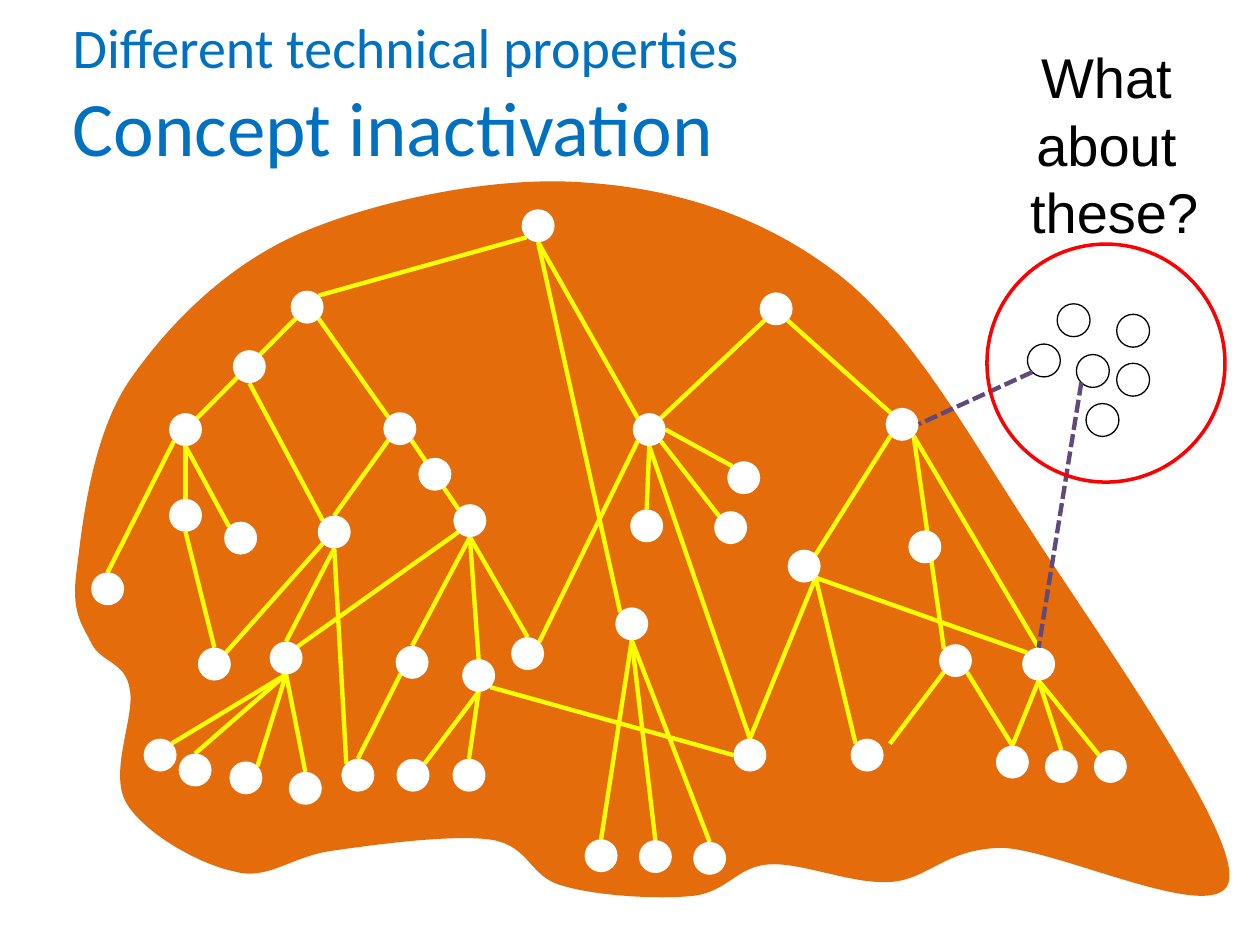
from lxml import etree
from pptx import Presentation
from pptx.dml.color import RGBColor
from pptx.enum import dml, shapes, text
from pptx.oxml import ns
from pptx.util import Pt

RADIUS = 9.4
DIAGONAL = 6.6
SITES = {
    "n": (0, -RADIUS), "s": (0, RADIUS), "e": (RADIUS, 0), "w": (-RADIUS, 0),
    "ne": (DIAGONAL, -DIAGONAL), "nw": (-DIAGONAL, -DIAGONAL),
    "se": (DIAGONAL, DIAGONAL), "sw": (-DIAGONAL, DIAGONAL),
}

# Centres of the concepts, one letter per level of the hierarchy
LEVELS = {
    "A": [(307.5, 129)],
    "B": [(175.5, 175.5), (443.5, 176.5)],
    "C": [(142.5, 209.5)],
    "D": [(106, 245.5), (228.5, 245), (371, 245.5), (515.5, 242.5)],
    "E": [(248.5, 271), (425, 273)],
    "F": [(106, 294.5), (137.5, 307.5), (191, 304), (268.5, 297.5),
          (369.5, 300.5), (417.5, 301.5)],
    "G": [(61.5, 336.5), (459.5, 323.5), (528.5, 312.5)],
    "H": [(122.5, 379.5), (163.5, 376), (235.5, 378.5), (273.5, 386),
          (301.5, 373.5), (361, 356.5), (546, 377.5), (593.5, 379.5)],
    "J": [(91.5, 431.5), (111.5, 440), (140.5, 444.5), (174.5, 450.5),
          (204.5, 443), (236, 443), (268, 443), (428.5, 431.5),
          (495.5, 431.5), (578.5, 435.5), (606.5, 438), (634.5, 438)],
    "K": [(343.5, 489), (374.5, 489.5), (405.5, 490.5)],
    "inactive": [(613.5, 183), (624.5, 212), (647.5, 189), (647.5, 217),
                 (630, 240), (596.5, 206)],
}

# Parent and its side: children and their sides
LINKS = {
    "A1 s": "H6 nw, D3 nw", "A1 sw": "B1 ne",
    "B1 se": "D2 nw", "B1 sw": "D1 ne",
    "B2 sw": "D3 ne", "B2 se": "D4 nw",
    "C1 s": "F3 nw",
    "D1 s": "F1 n, F2 nw", "D1 sw": "G1 n",
    "D2 sw": "F3 n", "D2 se": "F4 nw",
    "D3 s": "J8 n, F5 n", "D3 e": "E2 nw", "D3 se": "F6 nw", "D3 sw": "H5 ne",
    "D4 sw": "G2 ne", "D4 se": "H8 n, H7 nw",
    "F1 s": "H1 n",
    "F3 s": "J5 nw, H2 n", "F3 sw": "H1 ne",
    "F4 sw": "H2 ne", "F4 s": "H5 n, H3 n, H4 n",
    "G2 se": "H8 nw, J9 nw, J8 n",
    "H2 s": "J1 ne, J2 n, J3 ne, J4 n",
    "H3 sw": "J5 n",
    "H4 s": "J7 n, J6 ne", "H4 se": "J8 w",
    "H6 s": "K1 n, K2 n, K3 n",
    "H7 se": "J10 n",
    "H8 s": "J10 n, J11 n, J12 nw",
}
LOOSE_END = (508.5, 425)
DASHED_LINKS = [("inactive6 sw", "D4 e"), ("inactive2 sw", "H8 n")]

# Start point, then two controls and an end point for each curve
BRAIN = [
    (74, 217.5),
    (96.5, 185), (130, 151), (173.5, 132.5),
    (217.5, 114), (285, 100), (336, 104.5),
    (387.5, 108), (438, 124.5), (480, 157.5),
    (522, 191), (551.5, 245.5), (589, 303),
    (625.5, 360), (705.5, 471.5), (702.5, 502),
    (700, 532), (604, 484.5), (571.5, 484.5),
    (539.5, 485.5), (530.5, 502.5), (509, 504),
    (486.5, 505.5), (458, 492.5), (439, 494),
    (420.5, 495.5), (415.5, 510), (395.5, 512),
    (376, 514), (340.5, 512), (321, 506),
    (302.5, 501), (303, 484), (281.5, 480),
    (260, 476.5), (215.5, 482.5), (191, 486),
    (166.5, 489), (153.5, 503.5), (134, 498),
    (114, 494), (82, 476), (72, 458.5),
    (62, 440.5), (78, 408), (74, 393),
    (71.5, 378), (57, 378.5), (52, 367),
    (46, 355.5), (40.5, 349), (44, 324.5),
    (47, 300), (52.5, 249), (74, 217.5),
]

NODES = {f"{level}{i}": centre for level, centres in LEVELS.items()
         for i, centre in enumerate(centres, 1)}


def rgb(color):
    return RGBColor.from_string(color)


def style(sp, fill=None, line=None, width=0.75):
    sp.shadow.inherit = False
    if fill:
        sp.fill.solid()
        sp.fill.fore_color.rgb = rgb(fill)
    else:
        sp.fill.background()
    if line:
        sp.line.color.rgb = rgb(line)
        sp.line.width = Pt(width)
    else:
        sp.line.fill.background()


def add_curved_shape(s, points, fill):
    """Draw a closed outline, turning each three segments into one curve."""
    emu = [(Pt(x), Pt(y)) for x, y in points]
    builder = s.shapes.build_freeform(*emu[0])
    builder.add_line_segments(emu[1:], close=True)
    sp = builder.convert_to_shape()
    segments = list(sp._element.iter(ns.qn("a:lnTo")))
    for i in range(0, len(segments), 3):
        curve = etree.Element(ns.qn("a:cubicBezTo"))
        segments[i].addprevious(curve)
        for segment in segments[i:i + 3]:
            curve.append(segment[0])
            segment.getparent().remove(segment)
    style(sp, fill)


def add_circle(s, centre, radius, **look):
    x, y = centre
    sp = s.shapes.add_shape(shapes.MSO_SHAPE.OVAL, Pt(x - radius),
                            Pt(y - radius), Pt(2 * radius), Pt(2 * radius))
    style(sp, **look)


def site(label):
    """Point on a node's edge, from a label such as 'D3 sw'."""
    name, side = label.split()
    return tuple(a + b for a, b in zip(NODES[name], SITES[side]))


def add_link(s, start, end, color, dash=None):
    c = s.shapes.add_connector(shapes.MSO_CONNECTOR.STRAIGHT,
                               *(Pt(v) for v in (*start, *end)))
    c.line.color.rgb = rgb(color)
    c.line.width = Pt(2.5)
    if dash:
        c.line.dash_style = dash
    etree.SubElement(c._element.spPr, ns.qn("a:effectLst"))


def add_text_box(s, box, wrap, anchor):
    tf = s.shapes.add_textbox(*(Pt(v) for v in box)).text_frame
    tf.word_wrap = wrap
    tf.vertical_anchor = anchor
    return tf


def add_run(p, words, size, font, color):
    r = p.add_run()
    r.text = words
    r.font.size = Pt(size)
    r.font.name = font
    r.font.color.rgb = rgb(color)


def add_title(s):
    tf = add_text_box(s, (34.5, 18.5, 603.5, 68), True, text.MSO_ANCHOR.MIDDLE)
    p = tf.paragraphs[0]
    add_run(p, "Different technical properties", 32, "Calibri", "0070C0")
    p.add_line_break()
    add_run(p, "Concept inactivation", 44, "Calibri", "0070C0")


def add_question(s):
    tf = add_text_box(s, (581, 21, 111.5, 124), False, text.MSO_ANCHOR.TOP)
    tf.auto_size = text.MSO_AUTO_SIZE.SHAPE_TO_FIT_TEXT
    for i, words in enumerate(("What ", "about ", "these?")):
        p = tf.add_paragraph() if i else tf.paragraphs[0]
        p.alignment = text.PP_ALIGN.CENTER
        add_run(p, words, 32, "Arial", "000000")


def main():
    prs = Presentation()
    prs.slide_width, prs.slide_height = Pt(720), Pt(540)
    s = prs.slides.add_slide(prs.slide_layouts[6])

    add_curved_shape(s, BRAIN, "E46C0A")
    add_title(s)
    for parent, children in LINKS.items():
        for child in children.split(", "):
            add_link(s, site(parent), site(child), "FFFF00")
    add_link(s, site("H7 sw"), LOOSE_END, "FFFF00")
    for name, centre in NODES.items():
        outline = "000000" if name.startswith("inactive") else None
        add_circle(s, centre, RADIUS, fill="FFFFFF", line=outline)
    for start, end in DASHED_LINKS:
        add_link(s, site(start), site(end), "604A7B",
                 dml.MSO_LINE.SQUARE_DOT)
    add_circle(s, (632, 207.5), 68, line="FF0000", width=2)
    add_question(s)
    prs.save("out.pptx")


if __name__ == "__main__":
    main()
